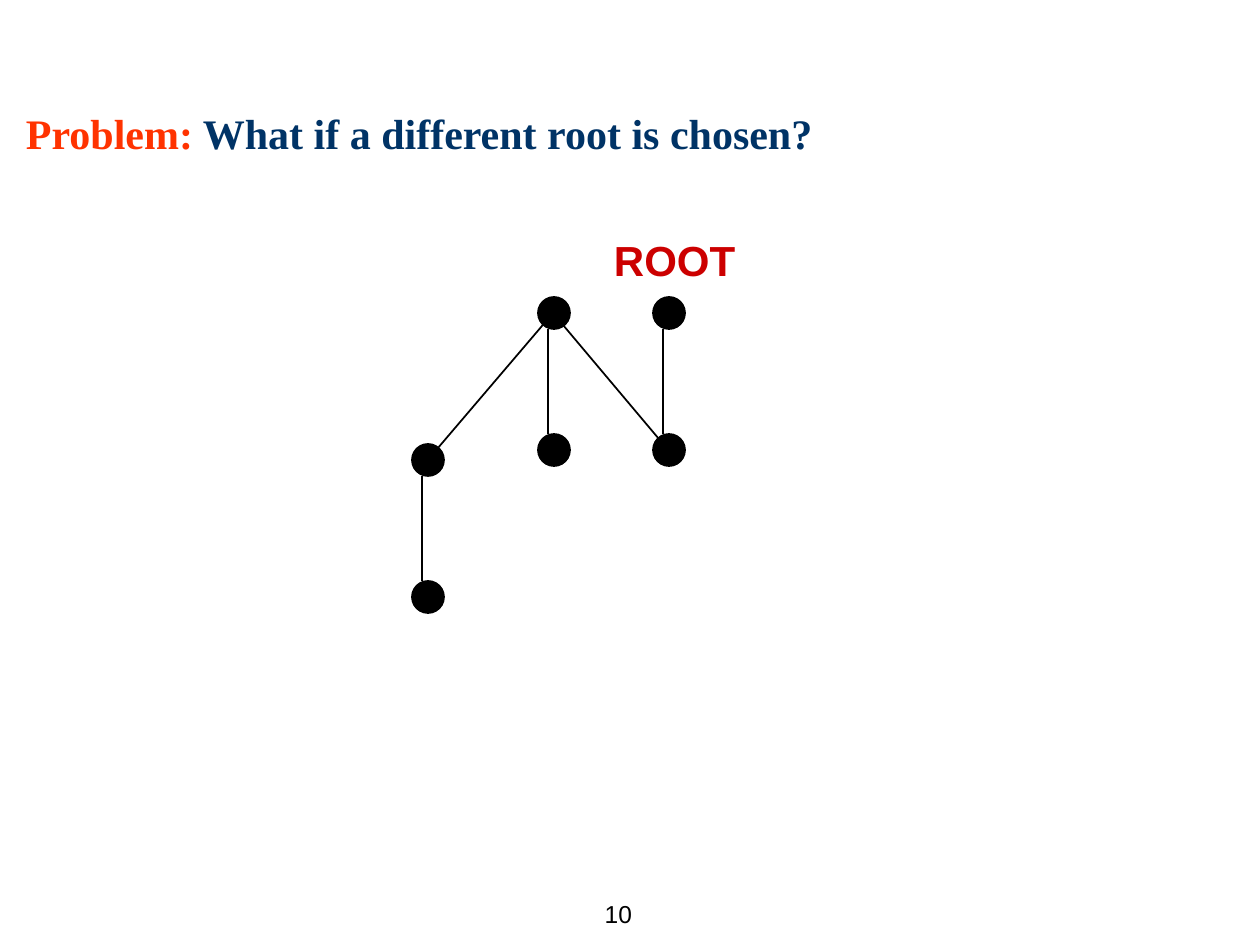
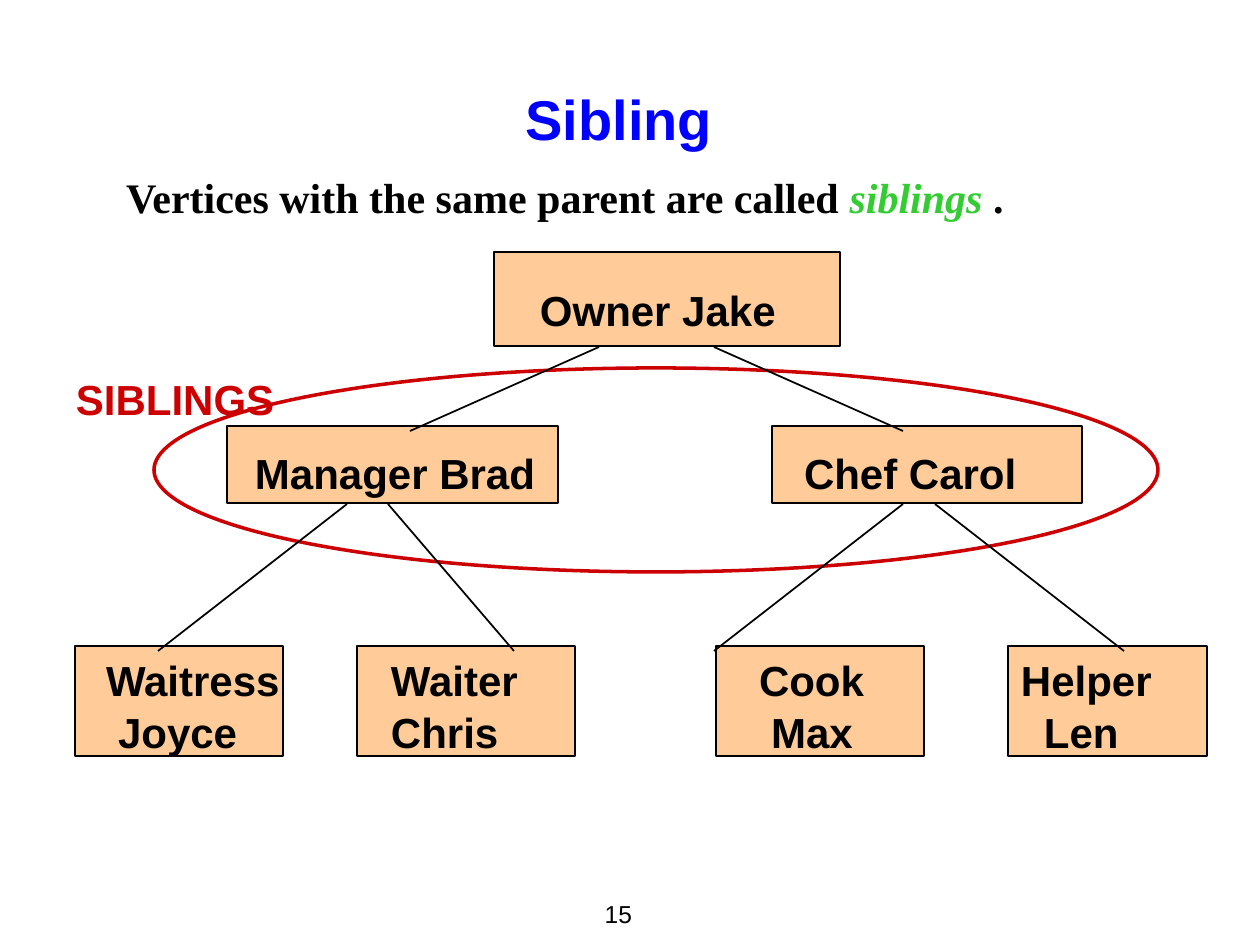
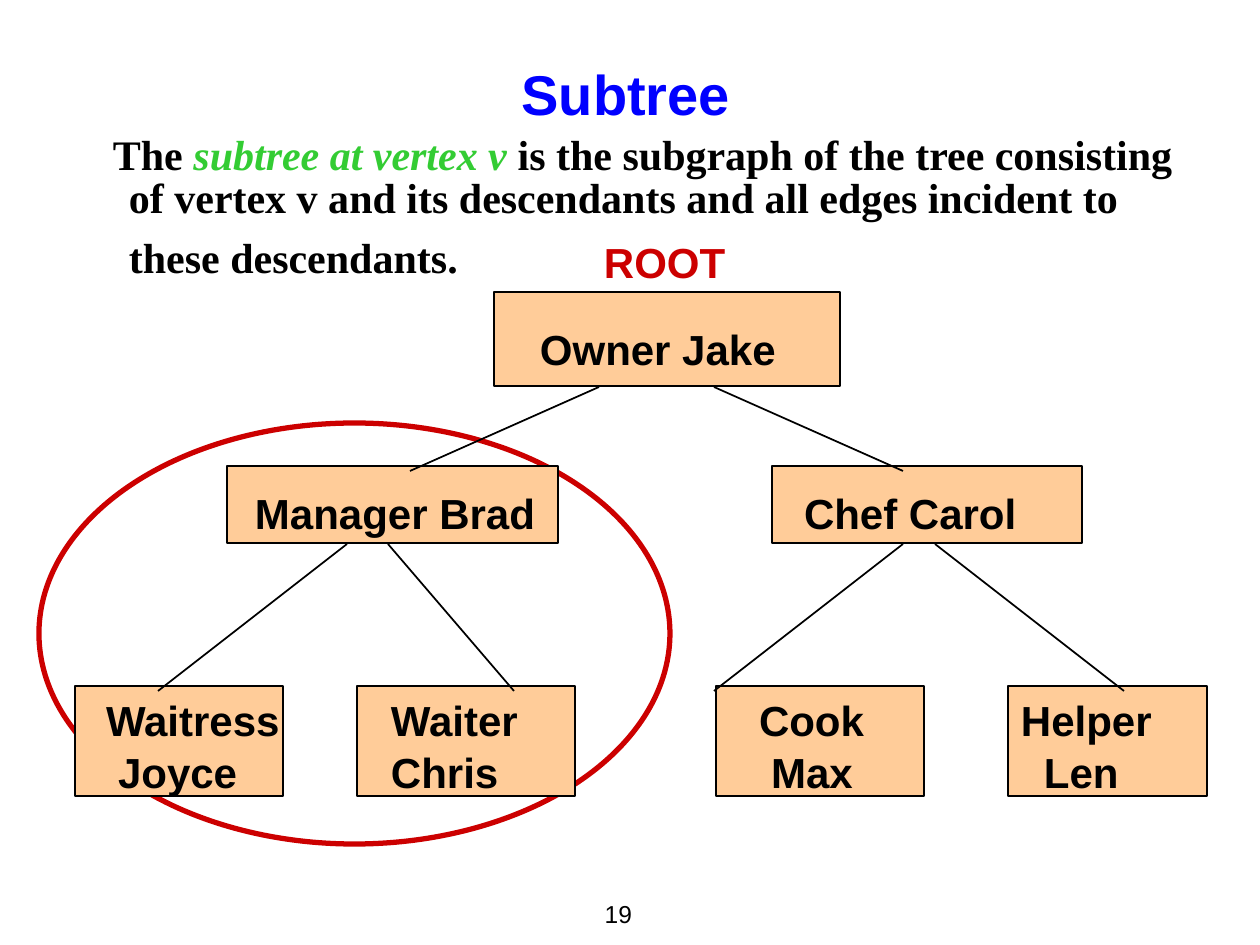
import pptx
import pptx.util
import pptx.dml.color
import pptx.enum.shapes
import pptx.enum.text
import pptx.oxml

RGB = pptx.dml.color.RGBColor
SHAPE = pptx.enum.shapes.MSO_SHAPE
ALIGN = pptx.enum.text.PP_ALIGN
ANCHOR = pptx.enum.text.MSO_ANCHOR

BLACK = RGB(0x00, 0x00, 0x00)
BLUE = RGB(0x00, 0x00, 0xFF)
NAVY = RGB(0x00, 0x33, 0x66)
GREEN = RGB(0x33, 0xCC, 0x33)
ORANGE = RGB(0xFF, 0x33, 0x00)
RED = RGB(0xCC, 0x00, 0x00)
PEACH = RGB(0xFF, 0xCC, 0x99)
SANS = "Arial"
SERIF = "Times New Roman"

SCALE = 914400 / 126
DOT = 32
STEM = 137

STAFF = [
    ((494, 252, 346, 94), (46, 32), [("Owner Jake", 0)]),
    ((227, 426, 331, 77), (28, 22), [("Manager Brad", 0)]),
    ((772, 426, 310, 77), (32, 22), [("Chef Carol", 0)]),
    ((75, 646, 208, 110), (31, 8), [("Waitress", 0), ("Joyce", 12)]),
    ((357, 646, 218, 110), (34, 8), [("Waiter", 0), ("Chris", 0)]),
    ((716, 646, 208, 110), (43, 8), [("Cook", 0), ("Max", 12)]),
    ((1008, 646, 199, 110), (13, 8), [("Helper", 0), ("Len", 23)]),
]
EDGES = [
    (599, 347, 410, 431), (714, 347, 903, 431),
    (347, 504, 158, 651), (903, 504, 714, 651),
    (388, 504, 514, 651), (935, 504, 1124, 651),
]


def px(num):
    """Turn px into EMU."""
    return round(num * SCALE)


def write(par, text, size=24, color=BLACK, font=SANS, bold=True, italic=False):
    """Add a formatted run to a paragraph."""
    run = par.add_run()
    run.text = text
    run.font.size = pptx.util.Pt(size)
    run.font.name = font
    run.font.bold = bold
    run.font.italic = italic
    run.font.color.rgb = color


def setup(shape, left=13, top=10, right=13, anchor=ANCHOR.TOP, align=ALIGN.LEFT):
    """Set the text frame of a shape and return its first paragraph."""
    frame = shape.text_frame
    frame.word_wrap = True
    frame.auto_size = pptx.enum.text.MSO_AUTO_SIZE.NONE
    frame.vertical_anchor = anchor
    frame.margin_left, frame.margin_right = px(left), px(right)
    frame.margin_top, frame.margin_bottom = px(top), px(0)
    par = frame.paragraphs[0]
    par.alignment = align
    return par


def indent(par, left, first=0):
    """Indent a paragraph and its first line."""
    props = par._p.get_or_add_pPr()
    props.set("marL", str(px(left)))
    props.set("indent", str(px(first)))


def label(slide, box, **frame):
    """Add a text box and return its first paragraph."""
    return setup(slide.shapes.add_textbox(*map(px, box)), **frame)


def title(slide, box, align=ALIGN.CENTER):
    """Place the title and return its paragraph."""
    shape = slide.shapes.title
    shape.left, shape.top, shape.width, shape.height = map(px, box)
    return setup(shape, align=align)


def solid(slide, kind, box, fill=None, color=BLACK, width=1):
    """Add an outlined shape, filled if a fill is given."""
    shape = slide.shapes.add_shape(kind, *map(px, box))
    shape.shadow.inherit = False
    if fill is None:
        shape.fill.background()
    else:
        shape.fill.solid()
        shape.fill.fore_color.rgb = fill
    shape.line.color.rgb = color
    shape.line.width = pptx.util.Pt(width)
    return shape


def edge(slide, ends):
    """Add a thin black line."""
    kind = pptx.enum.shapes.MSO_CONNECTOR.STRAIGHT
    line = slide.shapes.add_connector(kind, *map(px, ends))
    line.line.color.rgb = BLACK
    line.line.width = pptx.util.Pt(1)
    line._element.spPr.append(pptx.oxml.parse_xml(
        '<a:effectLst xmlns:a="http://schemas.openxmlformats.org/drawingml/2006/main"/>'))


def ring(slide, box, width):
    """Add a red ellipse around part of the tree."""
    solid(slide, SHAPE.OVAL, box, color=RED, width=width)


def node(slide, box, inset, lines):
    """Add a staff box with its lines of text."""
    shape = solid(slide, SHAPE.RECTANGLE, box, PEACH)
    par = setup(shape, *inset, right=0)
    for num, (text, shift) in enumerate(lines):
        if num:
            par = shape.text_frame.add_paragraph()
            par.alignment = ALIGN.LEFT
            par.space_before = pptx.util.Pt(1)
        indent(par, shift)
        write(par, text)


def tree(slide, drop=0):
    """Draw the staff tree, moved down by drop."""
    for (left, top, wide, high), inset, lines in STAFF:
        node(slide, (left, top + drop, wide, high), inset, lines)
    for x1, y1, x2, y2 in EDGES:
        edge(slide, (x1, y1 + drop, x2, y2 + drop))


def stem(slide, left, top):
    """Draw two dots, one above the other, and the line between them."""
    for high in (top, top + STEM):
        solid(slide, SHAPE.OVAL, (left, high, DOT, DOT), BLACK)
    edge(slide, (left + 10, top + DOT, left + 10, top + STEM))


def start(deck, number):
    """Add a slide with its number at the foot."""
    slide = deck.slides.add_slide(deck.slide_layouts[5])
    par = label(slide, (561, 882, 84, 63), top=0, anchor=ANCHOR.MIDDLE, align=ALIGN.RIGHT)
    write(par, str(number), size=14, bold=False)
    return slide


def problem(deck):
    """Build the slide on choosing another root."""
    slide = start(deck, 10)
    par = title(slide, (13, 97, 1134, 68), ALIGN.LEFT)
    write(par, "Problem:", color=ORANGE, font=SERIF)
    write(par, " What if a different root is chosen?", color=NAVY, font=SERIF)
    for left, top in ((412, 444), (538, 297), (653, 297)):
        stem(slide, left, top)
    edge(slide, (558, 319, 664, 445))
    edge(slide, (548, 319, 432, 455))
    write(label(slide, (601, 224, 150, 63)), "ROOT", color=RED)


def sibling(deck):
    """Build the slide on siblings."""
    slide = start(deck, 15)
    write(title(slide, (113, 74, 1012, 81)), "Sibling", size=32, color=BLUE)
    par = label(slide, (113, 161, 1012, 63))
    write(par, "Vertices with the same parent are called ", font=SERIF)
    write(par, "siblings", color=GREEN, font=SERIF, italic=True)
    write(par, " .", font=SERIF)
    write(label(slide, (63, 363, 226, 63)), "SIBLINGS", color=RED)
    ring(slide, (154, 368, 1004, 204), 2)
    tree(slide)


def subtree(deck):
    """Build the slide on subtrees."""
    slide = start(deck, 19)
    write(title(slide, (59, 49, 1134, 97)), "Subtree", size=32, color=BLUE)
    par = label(slide, (69, 129, 1134, 169), top=7)
    indent(par, 47, -16)
    par.line_spacing = 0.85
    write(par, "The ", font=SERIF)
    write(par, "subtree at vertex v ", color=GREEN, font=SERIF, italic=True)
    write(par, "is the subgraph of the tree consisting of vertex v and its "
          "descendants and all edges incident to these descendants.", font=SERIF)
    write(par, " ", size=36)
    ring(slide, (39, 423, 631, 421), 3)
    tree(slide, 40)
    write(label(slide, (591, 227, 150, 63)), "ROOT", color=RED)


def main():
    """Build and save the slides."""
    deck = pptx.Presentation()
    deck.slide_width, deck.slide_height = px(1260), px(945)
    problem(deck)
    sibling(deck)
    subtree(deck)
    deck.save("out.pptx")


if __name__ == "__main__":
    main()
